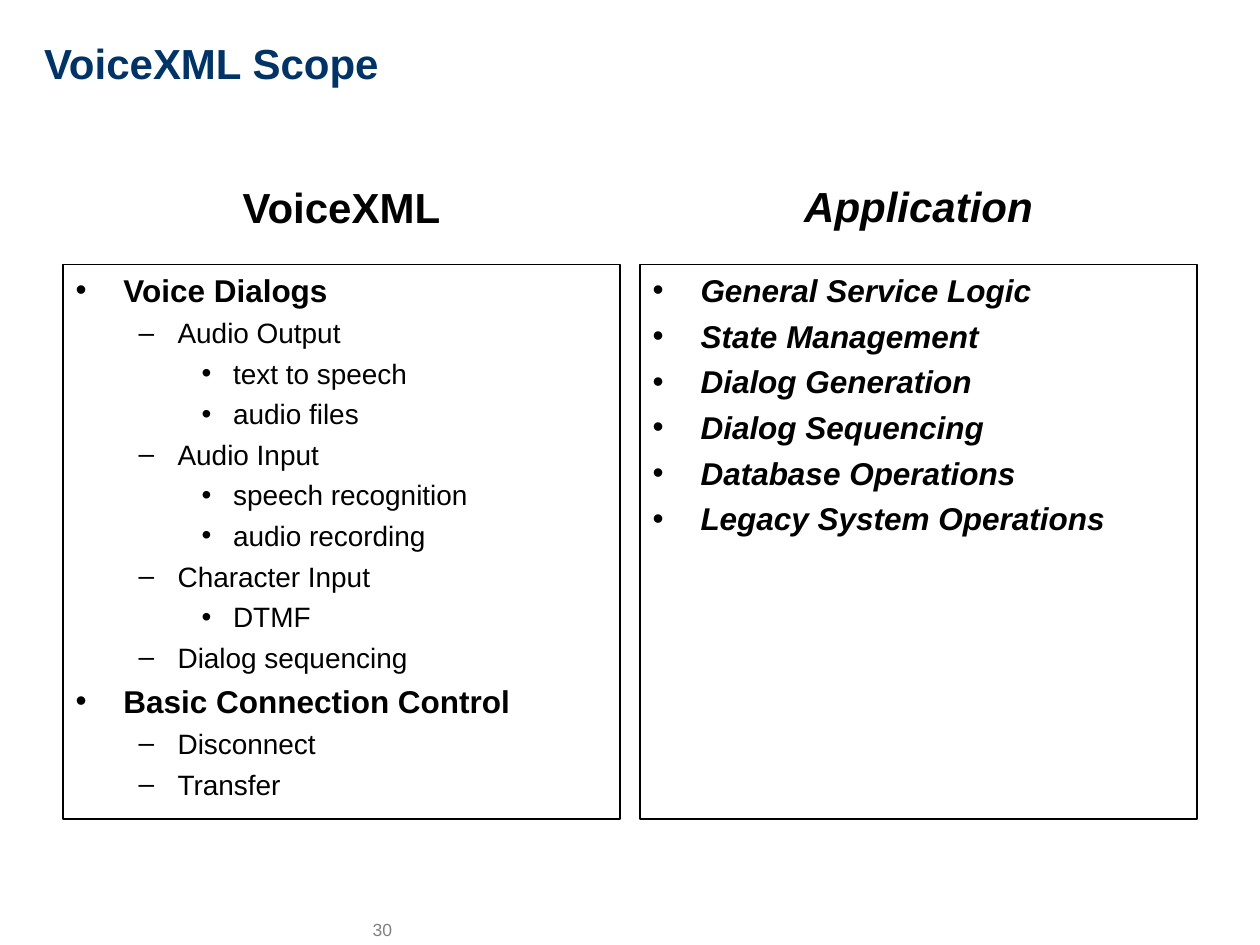
from dataclasses import dataclass

from lxml.etree import SubElement
from pptx import Presentation
from pptx.dml.color import RGBColor
from pptx.enum.text import MSO_ANCHOR as Anchor, MSO_AUTO_SIZE as AutoSize, PP_ALIGN as Align
from pptx.oxml.ns import qn
from pptx.util import Inches, Pt


@dataclass(frozen=True)
class Theme:
    font: str = "Arial"
    ink: str = "000000"
    title: str = "003366"
    muted: str = "808080"
    heading_size: float = 24
    number_size: float = 10
    border: float = 0.75


@dataclass(frozen=True)
class Level:
    bullet: str
    margin: float
    hanging: float
    size: float
    before: float
    bold: bool


@dataclass(frozen=True)
class Column:
    left: float
    heading: str
    heading_top: float
    italic: bool
    items: tuple[tuple[int, str], ...]


THEME = Theme()
LEVELS = (
    Level("•", 0.38, 0.38, 18, 4.5, True),
    Level("–", 0.81, 0.31, 16, 4, False),
    Level("•", 1.25, 0.25, 16, 4, False),
)
COLUMN_WIDTH = 4.42
COLUMNS = (
    Column(0.5, "VoiceXML", 1.39, False, (
        (0, "Voice Dialogs"),
        (1, "Audio Output"),
        (2, "text to speech"),
        (2, "audio files"),
        (1, "Audio Input"),
        (2, "speech recognition"),
        (2, "audio recording"),
        (1, "Character Input"),
        (2, "DTMF"),
        (1, "Dialog sequencing"),
        (0, "Basic Connection Control"),
        (1, "Disconnect"),
        (1, "Transfer"),
    )),
    Column(5.08, "Application", 1.38, True, (
        (0, "General Service Logic"),
        (0, "State Management"),
        (0, "Dialog Generation"),
        (0, "Dialog Sequencing"),
        (0, "Database Operations"),
        (0, "Legacy System Operations"),
    )),
)


def place(box, left: float, top: float, width: float, height: float) -> None:
    box.left, box.top = Inches(left), Inches(top)
    box.width, box.height = Inches(width), Inches(height)


def add_run(para, text: str, size: float, color: str, bold: bool = False,
            italic: bool = False) -> None:
    run = para.add_run()
    run.text = text
    font = run.font
    font.name, font.size = THEME.font, Pt(size)
    font.bold, font.italic = bold, italic
    font.color.rgb = RGBColor.from_string(color)


def set_bullet(para, level: Level) -> None:
    properties = para._p.get_or_add_pPr()
    properties.set("marL", str(Inches(level.margin)))
    properties.set("indent", str(-Inches(level.hanging)))
    color = SubElement(properties, qn("a:buClr"))
    SubElement(color, qn("a:srgbClr"), val=THEME.ink)
    SubElement(properties, qn("a:buFont"), typeface=THEME.font)
    SubElement(properties, qn("a:buChar"), char=level.bullet)


def fill_title(box, text: str) -> None:
    place(box, 0.25, 0.25, 6.17, 0.5)
    frame = box.text_frame
    frame.auto_size, frame.vertical_anchor = AutoSize.NONE, Anchor.MIDDLE
    para = frame.paragraphs[0]
    para.alignment = Align.LEFT
    add_run(para, text, THEME.heading_size, THEME.title, bold=True)


def fill_list(box, column: Column) -> None:
    place(box, column.left, 2.1, COLUMN_WIDTH, 4.4)
    box.line.color.rgb = RGBColor.from_string(THEME.ink)
    box.line.width = Pt(THEME.border)
    frame = box.text_frame
    frame.auto_size = AutoSize.NONE
    for index, (depth, text) in enumerate(column.items):
        para = frame.add_paragraph() if index else frame.paragraphs[0]
        level = LEVELS[depth]
        para.level = depth
        set_bullet(para, level)
        para.space_before = Pt(level.before if index else 0)
        add_run(para, text, level.size, THEME.ink, level.bold, column.italic)


def add_heading(slide, column: Column) -> None:
    box = slide.shapes.add_textbox(Inches(column.left), Inches(column.heading_top),
                                   Inches(COLUMN_WIDTH), Inches(0.5))
    frame = box.text_frame
    frame.word_wrap, frame.auto_size = True, AutoSize.SHAPE_TO_FIT_TEXT
    para = frame.paragraphs[0]
    para.alignment = Align.CENTER
    add_run(para, column.heading, THEME.heading_size, THEME.ink, True, column.italic)


def add_page_number(slide, number: int) -> None:
    box = slide.shapes.add_textbox(Inches(2.86), Inches(7.25), Inches(0.33), Inches(0.25))
    frame = box.text_frame
    frame.word_wrap, frame.vertical_anchor = False, Anchor.MIDDLE
    frame.margin_right = 0
    add_run(frame.paragraphs[0], str(number), THEME.number_size, THEME.muted)


def main() -> None:
    deck = Presentation()
    deck.slide_width, deck.slide_height = Inches(10), Inches(7.5)
    two_content = deck.slide_layouts.get_by_name("Two Content")
    slide = deck.slides.add_slide(two_content)
    title, *bodies = slide.placeholders
    fill_title(title, "VoiceXML Scope")
    for body, column in zip(bodies, COLUMNS):
        fill_list(body, column)
        add_heading(slide, column)
    add_page_number(slide, 30)
    deck.save("out.pptx")


if __name__ == "__main__":
    main()
